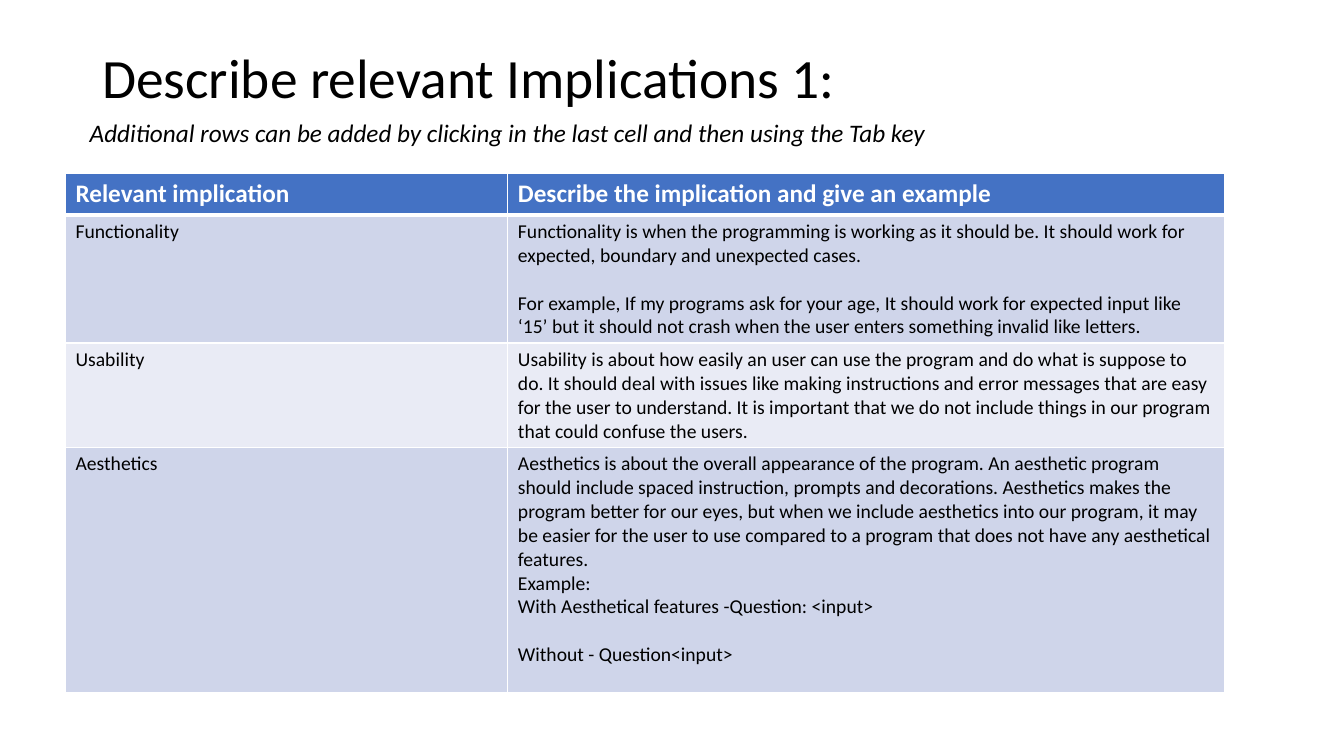
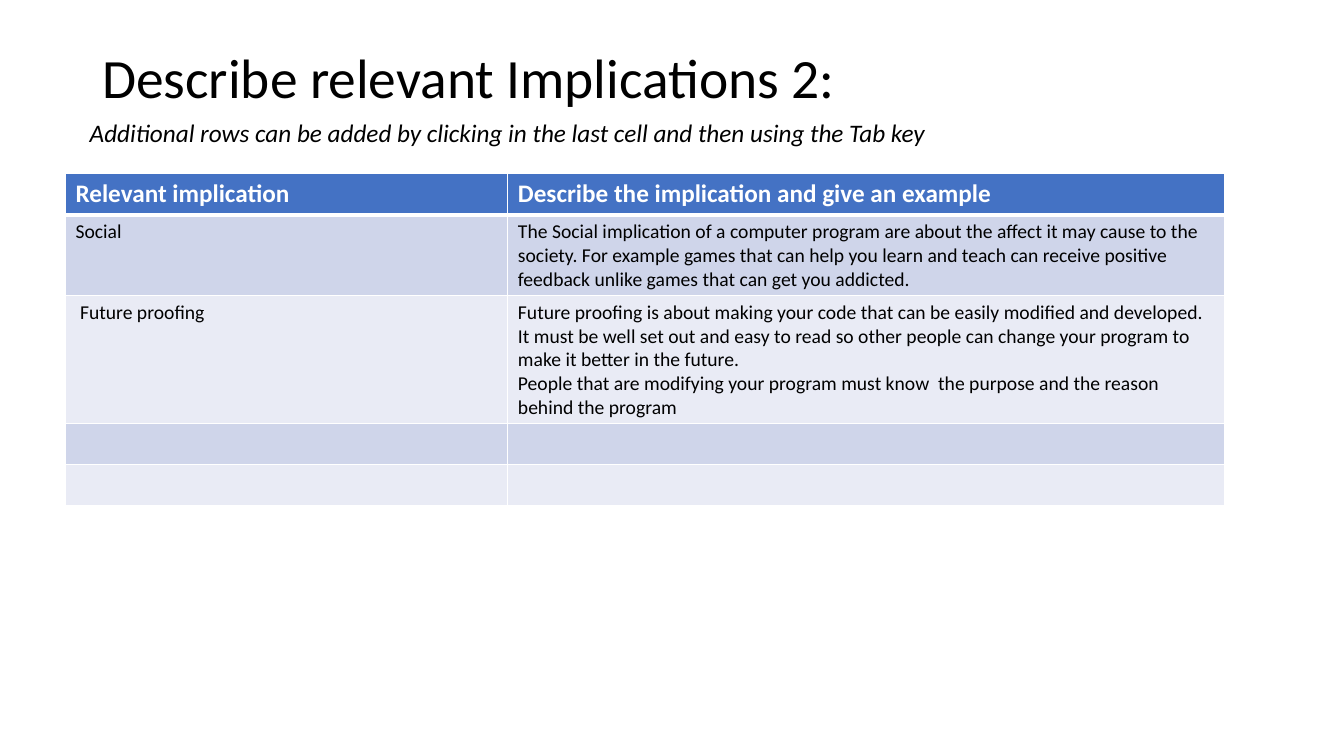
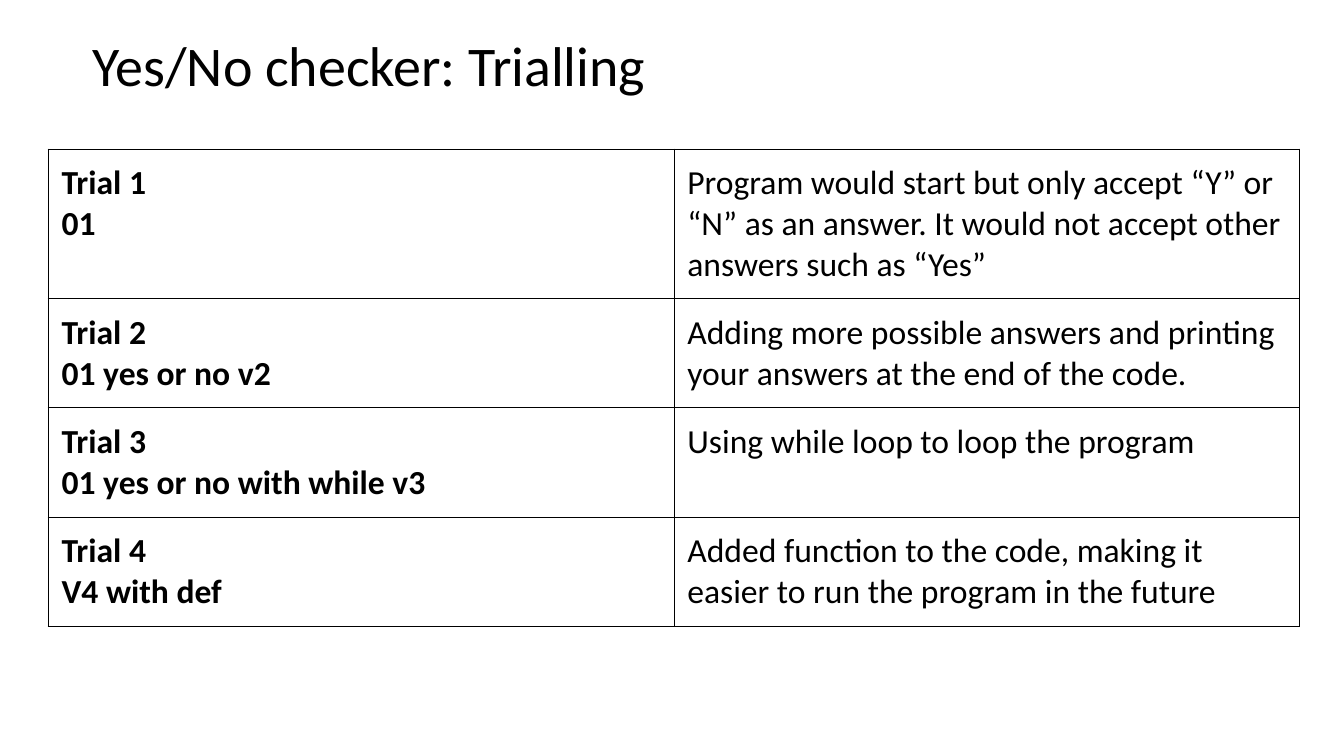
"""Build three slides on program implications and trialling."""
from dataclasses import dataclass
from typing import Optional

from lxml.etree import SubElement as Sub
from pptx import Presentation
from pptx.dml.color import RGBColor as RGB
from pptx.enum.text import MSO_ANCHOR as Anchor
from pptx.oxml.ns import qn
from pptx.util import Pt

FONT = "Calibri"
COLORS = {
    "text": "000000",
    "paper": "FFFFFF",
    "header": "4472C4",
    "odd": "CFD5EA",
    "even": "E9EBF5",
}
HINT = "Additional rows can be added by clicking in the last cell and then using the Tab key"
HEADINGS = ("Relevant implication", "Describe the implication and give an example")
BLANK_LINE = 17
HEADER_HEIGHT = 29.5


@dataclass(frozen=True)
class Para:
    """A paragraph with the space above it."""
    text: str
    before: float = 0


@dataclass(frozen=True)
class Style:
    """The look of a run of text."""
    size: float
    color: str = "text"
    bold: bool = False
    italic: bool = False


@dataclass(frozen=True)
class Box:
    """A text box's place and line spacing."""
    left: float
    top: float
    width: float
    height: float
    spacing: float = 1.0


@dataclass(frozen=True)
class Cell:
    """A table cell's content and look."""
    paras: tuple[Para, ...]
    style: Style
    fill: str
    line: str
    widths: tuple[float, float, float, float]
    margins: Optional[float] = None


@dataclass(frozen=True)
class Row:
    """A labelled row of a two-column table."""
    height: float
    label: tuple[Para, ...] = ()
    detail: tuple[Para, ...] = ()


HEADING = Style(18, "paper", bold=True)
BODY = Style(14)
TITLE_BOX = Box(66, 29, 828, 44, 1.15)
HINT_BOX = Box(57, 80.5, 788, 29)
TRIAL_TITLE_BOX = Box(59, 17.5, 828, 63, 0.9)

IMPLICATIONS_1 = (
    Row(91, (Para("Functionality"),), (
        Para("Functionality is when the programming is working as it should be. It should "
             "work for expected, boundary and unexpected cases."),
        Para("For example, If my programs ask for your age, It should work for expected "
             "input like ‘15’ but it should not crash when the user enters something "
             "invalid like letters.", BLANK_LINE),
    )),
    Row(74, (Para("Usability"),), (
        Para("Usability is about how easily an user can use the program and do what is "
             "suppose to do. It should deal with issues like making instructions and error "
             "messages that are easy for the user to understand. It is important that we do "
             "not include things in our program that could confuse the users."),
    )),
    Row(175, (Para("Aesthetics"),), (
        Para("Aesthetics is about the overall appearance of the program. An aesthetic "
             "program should include spaced instruction, prompts and decorations. Aesthetics "
             "makes the program better for our eyes, but when we include aesthetics into our "
             "program, it may be easier for the user to use compared to a program that does "
             "not have any aesthetical features."),
        Para("Example:"),
        Para("With Aesthetical features -Question: <input>"),
        Para("Without - Question<input>", BLANK_LINE),
    )),
)
IMPLICATIONS_2 = (
    Row(57, (Para("Social"),), (
        Para("The Social implication of a computer program are about the affect it may cause "
             "to the society. For example games that can help you learn and teach can receive "
             "positive feedback unlike games that can get you addicted."),
    )),
    Row(91, (Para(" Future proofing"),), (
        Para("Future proofing is about making your code that can be easily modified and "
             "developed. It must be well set out and easy to read so other people can change "
             "your program to make it better in the future."),
        Para("People that are modifying your program must know  the purpose and the reason "
             "behind the program"),
    )),
    Row(HEADER_HEIGHT),
    Row(HEADER_HEIGHT),
)
TRIALS = (
    Row(107, (Para("Trial 1"), Para("01")), (
        Para("Program would start but only accept “Y” or “N” as an answer. It would not "
             "accept other answers such as “Yes”"),
    )),
    Row(78, (Para("Trial 2"), Para("01 yes or no v2")), (
        Para("Adding more possible answers and printing your answers at the end of the code."),
    )),
    Row(78, (Para("Trial 3"), Para("01 yes or no with while v3")), (
        Para("Using while loop to loop the program"),
    )),
    Row(78, (Para("Trial 4"), Para("V4 with def")), (
        Para("Added function to the code, making it easier to run the program in the future"),
    )),
)


def rgb(name: str) -> RGB:
    """Return a named colour."""
    return RGB.from_string(COLORS[name])


def write(tf, paras: tuple[Para, ...], style: Style, spacing: float = 1.0) -> None:
    """Fill a text frame with styled paragraphs."""
    for i, para in enumerate(paras):
        p = tf.paragraphs[0] if i == 0 else tf.add_paragraph()
        p.text = para.text
        p.line_spacing = spacing
        if para.before:
            p.space_before = Pt(para.before)
        for r in p.runs:
            font = r.font
            font.name, font.size = FONT, Pt(style.size)
            font.bold, font.italic = style.bold, style.italic
            font.color.rgb = rgb(style.color)


def add_text(slide, box: Box, text: str, style: Style, anchor=Anchor.MIDDLE) -> None:
    """Add a wrapped one-paragraph text box."""
    sp = slide.shapes.add_textbox(Pt(box.left), Pt(box.top), Pt(box.width), Pt(box.height))
    tf = sp.text_frame
    tf.word_wrap = True
    tf.vertical_anchor = anchor
    write(tf, (Para(text),), style, box.spacing)


def draw_cell(cell, content: Cell) -> None:
    """Draw borders, fill and text of a cell."""
    tc_pr = cell._tc.get_or_add_tcPr()
    for side, width in zip(("lnL", "lnR", "lnT", "lnB"), content.widths):
        ln = Sub(tc_pr, qn(f"a:{side}"), w=str(Pt(width)))
        Sub(Sub(ln, qn("a:solidFill")), qn("a:srgbClr"), val=COLORS[content.line])
    cell.fill.solid()
    cell.fill.fore_color.rgb = rgb(content.fill)
    if content.margins is not None:
        cell.margin_left = cell.margin_right = Pt(content.margins)
        cell.margin_top = cell.margin_bottom = Pt(content.margins)
    write(cell.text_frame, content.paras, content.style)


def add_grid(slide, left: float, top: float, widths: tuple[float, ...],
             heights: list[float], cells: list[list[Cell]]) -> None:
    """Add a table from rows of cells."""
    frame = slide.shapes.add_table(len(heights), len(widths), Pt(left), Pt(top),
                                   Pt(sum(widths)), Pt(sum(heights)))
    table = frame.table
    table.first_row = table.horz_banding = False
    for column, width in zip(table.columns, widths):
        column.width = Pt(width)
    for i, (height, row) in enumerate(zip(heights, cells)):
        table.rows[i].height = Pt(height)
        for j, content in enumerate(row):
            draw_cell(table.cell(i, j), content)


def implications_slide(prs, number: int, rows: tuple[Row, ...]) -> None:
    """Add a slide with a banded table of implications."""
    slide = prs.slides.add_slide(prs.slide_layouts[6])
    add_text(slide, TITLE_BOX, f"Describe relevant Implications {number}:", Style(39.6))
    add_text(slide, HINT_BOX, HINT, Style(18, italic=True), Anchor.TOP)
    cells = [[Cell((Para(text),), HEADING, "header", "paper", (1, 1, 1, 3))
              for text in HEADINGS]]
    for i, row in enumerate(rows):
        fill = "even" if i % 2 else "odd"
        edges = (1, 1, 1 if i else 3, 1)
        cells.append([Cell(paras, BODY, fill, "paper", edges)
                      for paras in (row.label, row.detail)])
    heights = [HEADER_HEIGHT] + [row.height for row in rows]
    add_grid(slide, 46.8, 124, (316, 512), heights, cells)


def trialling_slide(prs) -> None:
    """Add the slide with the outlined table of trials."""
    slide = prs.slides.add_slide(prs.slide_layouts[6])
    add_text(slide, TRIAL_TITLE_BOX, "Yes/No checker: Trialling", Style(40))
    cells = [[Cell(paras, Style(24, bold=bold), "paper", "text", (0.75,) * 4, 9.6)
              for paras, bold in ((row.label, True), (row.detail, False))]
             for row in TRIALS]
    add_grid(slide, 34.4, 106.4, (447, 447), [row.height for row in TRIALS], cells)


def main() -> None:
    """Build and save the presentation."""
    prs = Presentation()
    prs.slide_width, prs.slide_height = Pt(960), Pt(540)
    for number, rows in enumerate((IMPLICATIONS_1, IMPLICATIONS_2), start=1):
        implications_slide(prs, number, rows)
    trialling_slide(prs)
    prs.save("out.pptx")


if __name__ == "__main__":
    main()
